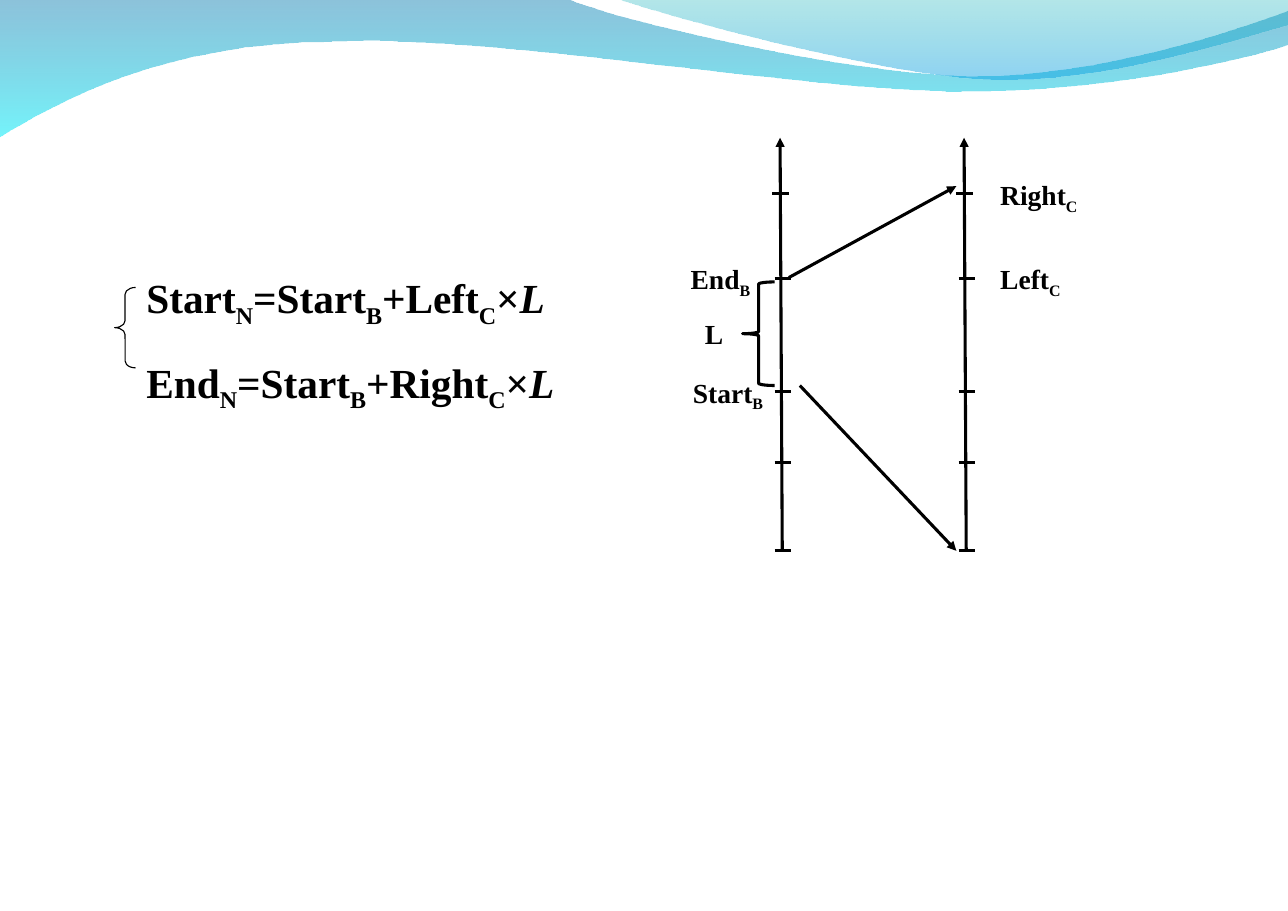
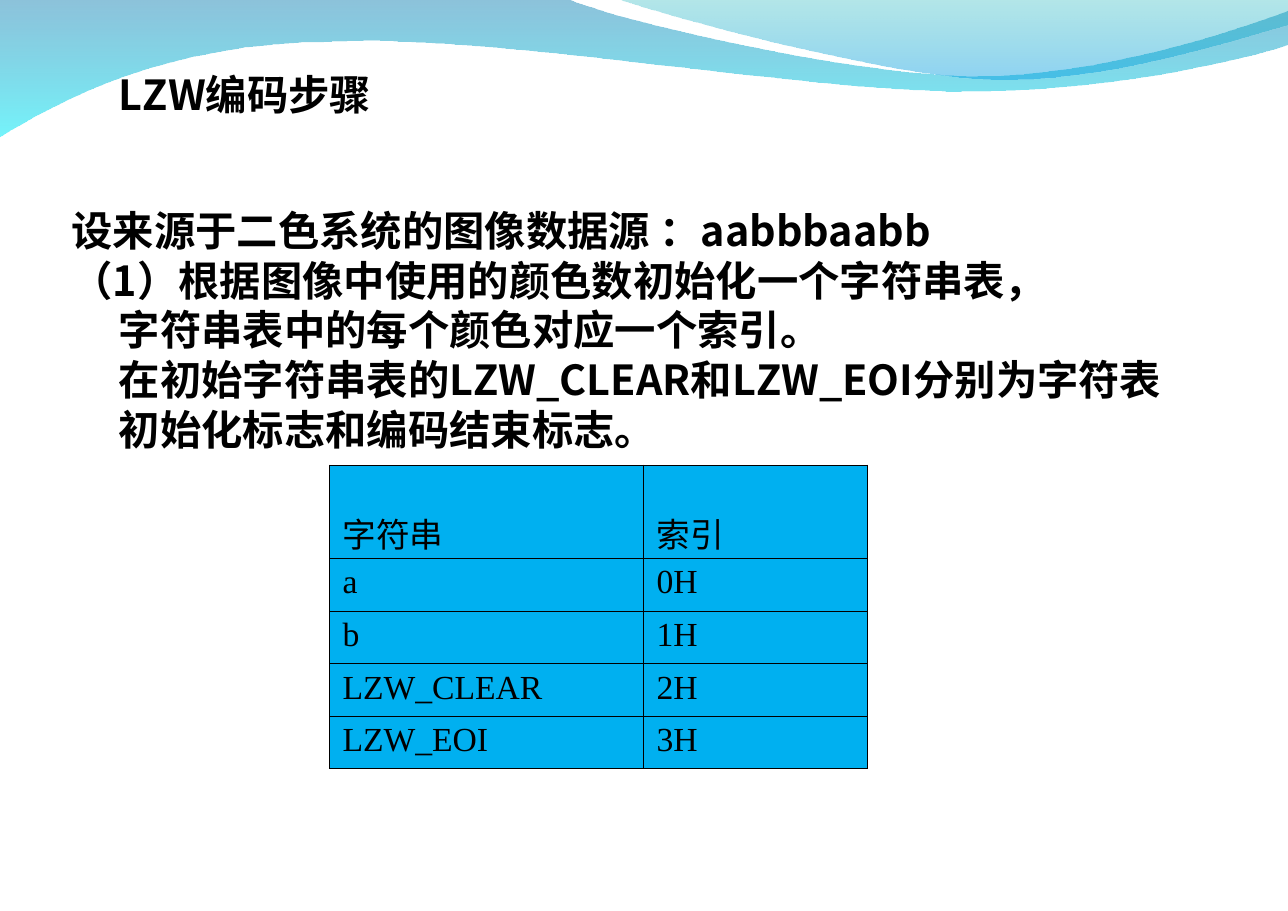
from dataclasses import dataclass

from lxml.etree import SubElement as Sub
from pptx import Presentation as Deck
from pptx.dml.color import RGBColor as RGB
from pptx.enum.shapes import MSO_CONNECTOR as Conn, MSO_SHAPE as Form
from pptx.enum.text import MSO_ANCHOR as Anchor, MSO_AUTO_SIZE as Auto
from pptx.oxml.ns import qn
from pptx.util import Inches, Pt


@dataclass(frozen=True)
class Theme:
    """Colours, fonts and sizes shared by the slides."""
    ink: str = "000000"
    cell: str = "00B0F0"
    serif: str = "Times New Roman"
    sans: str = "Noto Sans CJK SC"
    big: float = 27
    mid: float = 22
    small: float = 18
    lead: float = 32.5
    thick: float = 2
    thin: float = 0.75
    edge: float = 0.45


T = Theme()

WAVES = [
    ((0, 0),
     [(5.15, -0.01), (5.56, 0.18, 7.76, 0.69, 8.87, 0.69),
      (9.98, 0.69, 11.21, 0.28, 11.69, 0.1), (11.71, 0.4),
      (11.5, 0.48, 10.17, 0.84, 8.72, 0.83), (7.27, 0.83, 4.46, 0.31, 3.01, 0.38),
      (1.51, 0.39, 0.54, 0.91, -0.01, 1.25), (0, 0)],
     [("0079AF", 45), ("00EBF8", 55)]),
    ((5.6, -0.01),
     [(5.96, 0.12, 7.98, 0.68, 8.99, 0.72), (10.01, 0.76, 11.24, 0.35, 11.69, 0.23),
      (11.69, 0), (5.6, -0.01)],
     [("00ADB6", 30), ("009BE5", 45)]),
]


def color(code):
    """Turn a hex code into a colour."""
    return RGB.from_string(code)


def emu(*nums):
    """Turn inches into lengths."""
    return [Inches(n) for n in nums]


def outline(slide, start, steps):
    """Draw a closed outline of straight and cubic steps."""
    pen = slide.shapes.build_freeform(*emu(*start))
    pen.add_line_segments([emu(*step[n:n + 2]) for step in steps
                           for n in range(0, len(step), 2)], close=True)
    shape = pen.convert_to_shape()
    legs = iter(list(shape._element.spPr.iter(qn("a:lnTo"))))
    for step in steps:
        first = next(legs)
        if len(step) == 6:
            first.tag = qn("a:cubicBezTo")
            for n in range(2):
                leg = next(legs)
                first.append(leg[0])
                leg.getparent().remove(leg)
    return shape


def waves(slide):
    """Draw the clear waves along the top edge."""
    for start, steps, tones in WAVES:
        wave = outline(slide, start, steps)
        wave.shadow.inherit = False
        wave.line.fill.background()
        wave.fill.gradient()
        wave.fill.gradient_angle = 270
        for stop, (code, part) in zip(wave.fill.gradient_stops, tones):
            stop.color.rgb = color(code)
        for tone, (code, part) in zip(wave._element.spPr.iter(qn("a:srgbClr")), tones):
            Sub(tone, qn("a:alpha"), val=str(part * 1000))


def style(para, size, face, bold=True):
    """Set the font of a whole paragraph."""
    font = para.font
    font.size, font.name, font.bold = Pt(size), face, bold
    font.color.rgb = color(T.ink)
    if face == T.sans:
        Sub(para._p.pPr.find(qn("a:defRPr")), qn("a:ea"), typeface=face)


def frame(slide, box, pad=(0.1, 0.05), wrap=False):
    """Add an empty text box and return its frame."""
    text = slide.shapes.add_textbox(*emu(*box)).text_frame
    text.word_wrap = wrap
    text.auto_size = Auto.SHAPE_TO_FIT_TEXT
    text.margin_left = text.margin_right = Inches(pad[0])
    text.margin_top = text.margin_bottom = Inches(pad[1])
    return text


def rows(text, lines):
    """Yield one paragraph for each line of a frame."""
    for n, line in enumerate(lines):
        yield (text.add_paragraph() if n else text.paragraphs[0]), line


def terms(para, code):
    """Add runs in which every second part is a subscript."""
    for n, part in enumerate(code.split("|")):
        run = para.add_run()
        run.text = part
        if n % 2:
            run._r.get_or_add_rPr().set("baseline", "-25000")


def line(slide, x1, y1, x2, y2, arrow=False):
    """Draw a thick line, with an arrowhead at its end if asked."""
    link = slide.shapes.add_connector(Conn.STRAIGHT, *emu(x1, y1, x2, y2))
    link.line.width = Pt(T.thick)
    link.line.color.rgb = color(T.ink)
    if arrow:
        Sub(link.line._get_or_add_ln(), qn("a:tailEnd"), type="triangle")
    Sub(link._element.spPr, qn("a:effectLst"))


def brace(slide, box, bend, width):
    """Draw a left brace."""
    mark = slide.shapes.add_shape(Form.LEFT_BRACE, *emu(*box))
    mark.shadow.inherit = False
    mark.adjustments[0] = bend
    mark.fill.background()
    mark.line.color.rgb = color(T.ink)
    mark.line.width = Pt(width)


def label(slide, x, y, wide, high, code):
    """Place a short bold label."""
    para = frame(slide, (x, y, wide, high)).paragraphs[0]
    terms(para, code)
    style(para, T.small, T.serif)


def axis(slide, x, y):
    """Draw an upright arrow with five ticks."""
    line(slide, x + 0.02, y + 3.75, x, y, True)
    for drop, left in ((0.51, -0.07), (1.28, -0.05), (2.3, -0.05), (2.95, -0.05), (3.75, -0.05)):
        line(slide, x + left, y + drop, x + left + 0.15, y + drop)


def maths(slide, x, y):
    """Place the pair of formulas and their brace."""
    text = frame(slide, (x + 0.19, y, 3.99, 1.64))
    codes = ["Start|N|=Start|B|+Left|C|×", "End|N|=Start|B|+Right|C|×"]
    for para, code in rows(text, codes):
        terms(para, code)
        run = para.add_run()
        run.text = "L"
        run.font.italic = True
        para.line_spacing = 1.5
        style(para, T.big, T.serif)
    brace(slide, (x, y + 0.44, 0.19, 0.73), 0.33, T.thin)


def scale(slide, x, y):
    """Draw the two axes, the arrows between them and the labels."""
    for left in (0.91, 2.58):
        axis(slide, x + left, y)
    line(slide, x + 0.99, y + 1.27, x + 2.51, y + 0.44, True)
    line(slide, x + 1.09, y + 2.25, x + 2.51, y + 3.75, True)
    brace(slide, (x + 0.57, y + 1.31, 0.29, 0.94), 0.07, T.thick)
    for left, top, wide, high, code in (
            (0.02, 2.11, 0.84, 0.44, "Start|B"), (0, 1.08, 0.74, 0.44, "End|B"),
            (0.13, 1.58, 0.36, 0.4, "L"), (2.81, 1.08, 0.75, 0.44, "Left|C"),
            (2.81, 0.32, 0.9, 0.44, "Right|C")):
        label(slide, x + left, y + top, wide, high, code)


def prose(slide, box, lines, wrap=False):
    """Place bold lines, each given with its left indent."""
    text = frame(slide, box, (0.11, 0.06), wrap)
    for para, (left, words) in rows(text, lines):
        para.text = words
        para.line_spacing = Pt(T.lead)
        style(para, T.big, T.sans)
        if left:
            para._p.pPr.set("marL", str(Inches(left)))


def edges(cell):
    """Draw a thin border round a cell."""
    props = cell._tc.get_or_add_tcPr()
    for n, side in enumerate(("lnL", "lnR", "lnT", "lnB")):
        edge = props.makeelement(qn("a:" + side), {"w": str(Pt(T.edge))})
        props.insert(n, edge)
        Sub(Sub(edge, qn("a:solidFill")), qn("a:srgbClr"), val=T.ink)


def grid(slide, box, data, wides, head):
    """Place the string table, with a tall first row."""
    table = slide.shapes.add_table(len(data), len(wides), *emu(*box)).table
    table.first_row = table.horz_banding = False
    for col, wide in zip(table.columns, wides):
        col.width = Inches(wide)
    rest = (box[3] - head) / (len(data) - 1)
    for r, row in enumerate(data):
        table.rows[r].height = Inches(rest if r else head)
        for c, words in enumerate(row):
            cell = table.cell(r, c)
            cell.text = words
            cell.margin_left = cell.margin_right = Inches(0.12)
            cell.margin_top = Inches(0.05)
            cell.margin_bottom = Inches(0.05 if r else 0.01)
            cell.vertical_anchor = Anchor.TOP if r else Anchor.BOTTOM
            cell.fill.solid()
            cell.fill.fore_color.rgb = color(T.cell)
            edges(cell)
            style(cell.text_frame.paragraphs[0], T.mid, T.serif, False)


def page(deck):
    """Add a blank slide with the waves."""
    slide = deck.slides.add_slide(deck.slide_layouts[6])
    waves(slide)
    return slide


def main():
    """Build and save the two slides."""
    deck = Deck()
    deck.slide_width, deck.slide_height = emu(11.69, 8.27)

    slide = page(deck)
    maths(slide, 1.04, 2.17)
    scale(slide, 6.17, 1.25)

    slide = page(deck)
    prose(slide, (0.97, 0.57, 3.79, 0.57), [(0, "LZW编码步骤")], True)
    prose(slide, (0.54, 1.8, 10.76, 2.37), [
        (0, "设来源于二色系统的图像数据源 ：aabbbaabb"),
        (0, "（1）根据图像中使用的颜色数初始化一个字符串表，"),
        (0.43, "字符串表中的每个颜色对应一个索引。"),
        (0.43, "在初始字符串表的LZW_CLEAR和LZW_EOI分别为字符表"),
        (0.43, "初始化标志和编码结束标志。")])
    grid(slide, (2.99, 4.22, 4.88, 2.76),
         [("字符串", "索引"), ("a", "0H"), ("b", "1H"), ("LZW_CLEAR", "2H"), ("LZW_EOI", "3H")],
         (2.85, 2.03), 0.85)

    deck.save("out.pptx")


if __name__ == "__main__":
    main()
